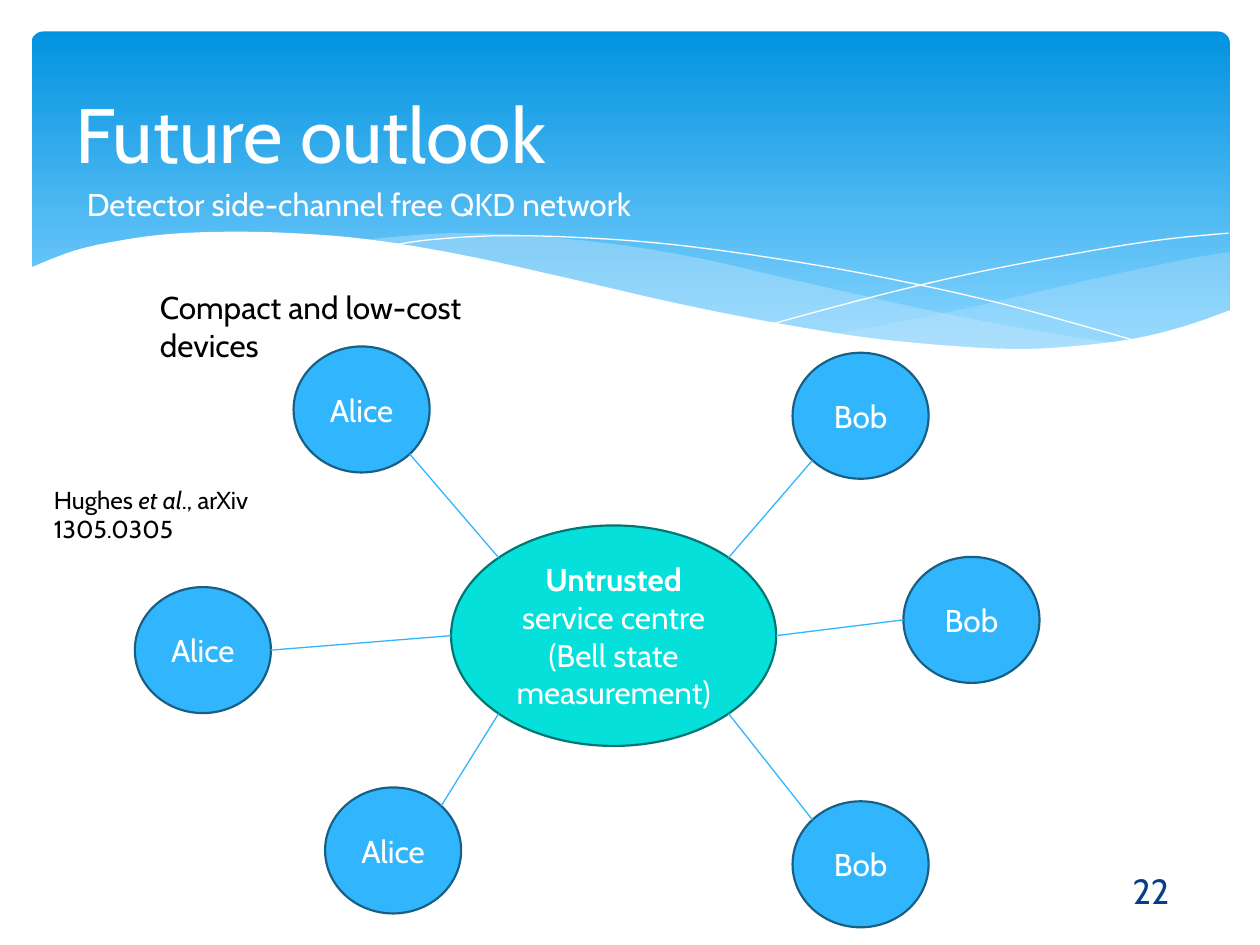
"""Build the "Future outlook" slide: a detector side-channel free QKD network."""
from math import hypot

from lxml import etree
from pptx import Presentation
from pptx.dml.color import RGBColor
from pptx.enum.shapes import MSO_CONNECTOR, MSO_SHAPE
from pptx.enum.text import MSO_ANCHOR, PP_ALIGN
from pptx.oxml.ns import qn
from pptx.util import Inches, Pt

FONT = "Cabin"
WHITE = RGBColor(0xFF, 0xFF, 0xFF)
BLACK = RGBColor(0x00, 0x00, 0x00)
NAVY = RGBColor(0x07, 0x3E, 0x87)
BAND_TOP = RGBColor(0x02, 0x93, 0xE0)
BAND_BOTTOM = RGBColor(0x83, 0xD3, 0xFE)
MIST = RGBColor(0xC6, 0xE7, 0xFC)
BLUE = RGBColor(0x31, 0xB6, 0xFD)
BLUE_EDGE = RGBColor(0x19, 0x5F, 0x84)
TEAL = RGBColor(0x05, 0xE0, 0xDB)
TEAL_EDGE = RGBColor(0x03, 0x75, 0x72)


def smooth(knots, steps=6):
    """Return points on a Catmull-Rom curve through the knots."""
    padded = [knots[0], *knots, knots[-1]]
    points = []
    for before, start, end, after in zip(padded, padded[1:], padded[2:], padded[3:]):
        for step in range(steps):
            t = step / steps
            points.append(tuple(
                b + ((c - a) * t + (2 * a - 5 * b + 4 * c - d) * t**2
                     + (3 * b - a - 3 * c + d) * t**3) / 2
                for a, b, c, d in zip(before, start, end, after)))
    return points + [knots[-1]]


def write(frame, paragraphs, size, color, align=PP_ALIGN.LEFT):
    """Fill a text frame; each paragraph is a list of (text, bold, italic)."""
    frame.word_wrap = True
    for index, spans in enumerate(paragraphs):
        paragraph = frame.add_paragraph() if index else frame.paragraphs[0]
        paragraph.alignment = align
        for text, bold, italic in spans:
            span = paragraph.add_run()
            span.text = text
            span.font.name = FONT
            span.font.size = Pt(size)
            span.font.bold = bold
            span.font.italic = italic
            span.font.color.rgb = color


deck = Presentation()
deck.slide_width, deck.slide_height = Inches(10), Inches(7.5)
page = deck.slides.add_slide(deck.slide_layouts[5])
shapes = page.shapes

band = shapes.add_shape(MSO_SHAPE.ROUNDED_RECTANGLE, Inches(0.25), Inches(0.25),
                        Inches(9.51), Inches(2.7))
band.adjustments[0] = 0.034
band.shadow.inherit = False
band.line.fill.background()
band.fill.gradient()
band.fill.gradient_angle = 270
for stop, position, color in zip(band.fill.gradient_stops, (0, 0.9), (BAND_TOP, BAND_BOTTOM)):
    stop.position = position
    stop.color.rgb = color

right_swell = [
    [(9.76, 2), (9.35, 2.07), (8.61, 2.23), (7.79, 2.42), (7.06, 2.57), (6.61, 2.65)],
    [(6.61, 2.65), (7.05, 2.71), (7.57, 2.76), (8.14, 2.78), (8.63, 2.75),
     (9.05, 2.69), (9.42, 2.59), (9.76, 2.47)],
]
middle_swell = [
    [(8.93, 2.73), (8.37, 2.65), (7.41, 2.47), (6.29, 2.22), (5.55, 2.05),
     (4.89, 1.94), (4.2, 1.87), (3.61, 1.85), (3.13, 1.88), (2.86, 1.91)],
    [(2.86, 1.91), (3.42, 1.99), (4.04, 2.11), (4.91, 2.32), (5.66, 2.48),
     (6.34, 2.61), (6.95, 2.7), (7.48, 2.76), (8.07, 2.78), (8.57, 2.77), (8.93, 2.73)],
]
falling_line = [[(3.09, 1.95), (3.44, 1.9), (4.01, 1.87), (4.69, 1.89), (5.33, 1.94),
                 (6.08, 2.04), (6.95, 2.19), (7.95, 2.41), (9.07, 2.72)]]
rising_line = [[(6.13, 2.57), (6.95, 2.35), (7.76, 2.16), (8.66, 1.99),
                (9.24, 1.9), (9.75, 1.85)]]
white_wave = [
    [(9.77, 2.46), (9.4, 2.59), (8.99, 2.69), (8.5, 2.75), (8.09, 2.77), (7.61, 2.75),
     (6.88, 2.68), (6.03, 2.54), (5.29, 2.39), (4.47, 2.2), (3.65, 2.02), (2.92, 1.9),
     (2.3, 1.85), (1.77, 1.84), (1.32, 1.86), (0.95, 1.91), (0.59, 1.99), (0.23, 2.13)],
    [(0.23, 3.29), (9.77, 3.29)],
]
waves = [(right_swell, MIST, 29), (middle_swell, MIST, 40), (falling_line, None, 100),
         (rising_line, None, 100), (white_wave, WHITE, 100)]
for edges, color, opacity in waves:
    points = [(Inches(x), Inches(y)) for edge in edges for x, y in smooth(edge)]
    builder = shapes.build_freeform(*points[0])
    builder.add_line_segments(points[1:], close=color is not None)
    wave = builder.convert_to_shape()
    wave.shadow.inherit = False
    if color is None:
        wave.fill.background()
        wave.line.color.rgb = WHITE
        wave.line.width = Pt(0)
        continue
    wave.line.fill.background()
    wave.fill.solid()
    wave.fill.fore_color.rgb = color
    if opacity < 100:
        tone = wave.element.spPr.find(qn("a:solidFill"))[0]
        etree.SubElement(tone, qn("a:alpha")).set("val", str(opacity * 1000))

title = shapes.title
shapes.element.append(title.element)
title.left, title.top, title.width, title.height = (
    Inches(0.5), Inches(0.37), Inches(9), Inches(1.37))
title.text_frame.vertical_anchor = MSO_ANCHOR.MIDDLE
write(title.text_frame, [[("Future outlook", False, False)]], 44, WHITE)

hub = (3.58, 4.17, 2.58, 1.75)
hub_text = [[("Untrusted ", True, False), ("service centre", False, False)],
            [("(Bell state measurement)", False, False)]]
nodes = [
    ("Alice", 2.33, 2.75, -1, -1), ("Bob", 6.29, 2.8, 1, -1),
    ("Alice", 1.07, 4.66, -1, 0), ("Bob", 7.17, 4.42, 1, 0),
    ("Alice", 2.58, 6.25, -1, 1), ("Bob", 6.29, 6.36, 1, 1),
]
ellipses = [(hub, hub_text, TEAL, TEAL_EDGE)]
for name, left, top, side, level in nodes:
    ellipses.append(((left, top, 1.08, 1), [[(name, False, False)]], BLUE, BLUE_EDGE))
for area, paragraphs, color, edge in ellipses:
    ellipse = shapes.add_shape(MSO_SHAPE.OVAL, *map(Inches, area))
    ellipse.shadow.inherit = False
    ellipse.fill.solid()
    ellipse.fill.fore_color.rgb = color
    ellipse.line.color.rgb = edge
    ellipse.line.width = Pt(1.25)
    ellipse.text_frame.vertical_anchor = MSO_ANCHOR.MIDDLE
    write(ellipse.text_frame, paragraphs, 18, WHITE, PP_ALIGN.CENTER)

for name, left, top, side, level in nodes:
    ends = []
    for (x, y, width, height), sign in (((left, top, 1.08, 1), -1), (hub, 1)):
        reach = sign / 2 / hypot(side, level)
        ends += [Inches(x + width * (0.5 + side * reach)),
                 Inches(y + height * (0.5 + level * reach))]
    link = shapes.add_connector(MSO_CONNECTOR.STRAIGHT, *ends)
    link.line.color.rgb = BLUE
    link.line.width = Pt(0.75)
    etree.SubElement(link.element.spPr, qn("a:effectLst"))

labels = [
    ((0.59, 1.42, 5.65, 0.4), [("Detector side-channel free QKD network", False, False)],
     18, WHITE, PP_ALIGN.LEFT, MSO_ANCHOR.TOP),
    ((8.5, 6.87, 1.27, 0.4), [("22", False, False)],
     20, NAVY, PP_ALIGN.CENTER, MSO_ANCHOR.MIDDLE),
    ((1.17, 2.24, 3.41, 0.4), [("Compact and low-cost devices", False, False)],
     18, BLACK, PP_ALIGN.LEFT, MSO_ANCHOR.TOP),
    ((0.33, 3.8, 2.64, 0.34), [("Hughes ", False, False), ("et al", False, True),
                              ("., arXiv 1305.0305", False, False)],
     14, BLACK, PP_ALIGN.LEFT, MSO_ANCHOR.TOP),
]
for area, spans, size, color, align, anchor in labels:
    box = shapes.add_textbox(*map(Inches, area))
    box.text_frame.vertical_anchor = anchor
    write(box.text_frame, [spans], size, color, align)

deck.save("out.pptx")
